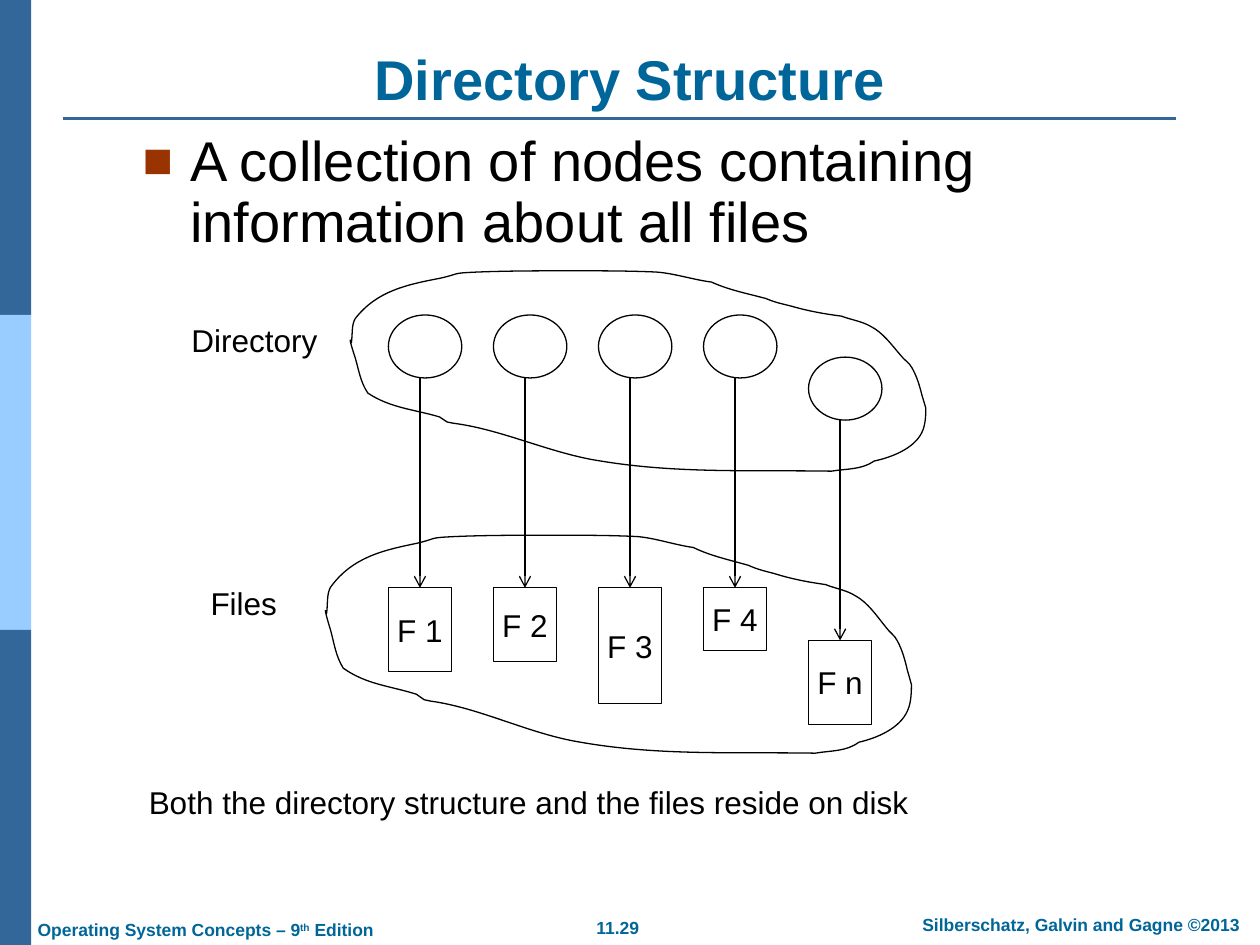
from lxml import etree
from pptx import Presentation
from pptx.dml.color import RGBColor
from pptx.enum.shapes import MSO_CONNECTOR, MSO_SHAPE
from pptx.enum.text import MSO_ANCHOR, MSO_AUTO_SIZE, PP_ALIGN
from pptx.oxml.ns import qn
from pptx.util import Cm, Pt

RECT, OVAL = MSO_SHAPE.RECTANGLE, MSO_SHAPE.OVAL
STRAIGHT = MSO_CONNECTOR.STRAIGHT
LEFT, CENTER = PP_ALIGN.LEFT, PP_ALIGN.CENTER
TOP, MIDDLE, BOTTOM = MSO_ANCHOR.TOP, MSO_ANCHOR.MIDDLE, MSO_ANCHOR.BOTTOM
NO_FIT = MSO_AUTO_SIZE.NONE

BLACK, WHITE, TEAL = "000000", "FFFFFF", "006699"
NAVY, SKY, RUST = "336699", "99CCFF", "993300"
HEADING = {"size": Pt(32), "bold": True, "color": TEAL}
BULLET = {"size": Pt(32), "bold": False, "color": BLACK}
LABEL = {"size": Pt(18), "bold": False, "color": BLACK}
FOOTER = {"size": Pt(10), "bold": True, "color": TEAL}

# Cloud outline on a 458 x 161 grid: a start point, then Bezier curves
# of two control points and an end point.
CLOUD_SIZE = (458, 161)
CLOUD_START = (1, 57)
CLOUD_CURVES = [
    (2, 50, 1, 43, 4, 38), (21, 16, 45, 11, 71, 6), (89, 2, 79, 2, 101, 1),
    (126, 0, 151, 0, 177, 0), (199, 0, 221, 0, 243, 1), (257, 2, 272, 7, 287, 9),
    (300, 15, 315, 18, 330, 22), (337, 25, 342, 26, 350, 28),
    (364, 32, 375, 34, 390, 36), (398, 39, 406, 40, 413, 44),
    (423, 49, 430, 59, 437, 67), (440, 71, 444, 73, 446, 77),
    (450, 84, 452, 91, 454, 99), (455, 102, 457, 109, 457, 109),
    (457, 113, 457, 122, 454, 128), (448, 141, 430, 148, 416, 151),
    (406, 158, 394, 157, 382, 159), (318, 158, 260, 161, 199, 151),
    (159, 145, 121, 126, 82, 121), (80, 121, 79, 120, 77, 120),
    (75, 119, 73, 117, 71, 116), (51, 110, 32, 109, 14, 97),
    (8, 88, 7, 79, 4, 69), (4, 69, 0, 57, 0, 55), (0, 54, 1, 56, 1, 57),
]


def rgb(color):
    return RGBColor.from_string(color)


def place(sp, box):
    for name, value in zip(("left", "top", "width", "height"), box):
        setattr(sp, name, Cm(value))


def add_run(p, text, style):
    r = p.add_run()
    r.text = text
    r.font.name = "Arial"
    r.font.color.rgb = rgb(style["color"])
    for name in ("size", "bold"):
        setattr(r.font, name, style[name])
    return r


def set_text(sp, text, style, align=LEFT, anchor=TOP, wrap=True):
    tf = sp.text_frame
    frame = {"auto_size": NO_FIT, "word_wrap": wrap, "vertical_anchor": anchor}
    for name, value in frame.items():
        setattr(tf, name, value)
    p = tf.paragraphs[0]
    p.alignment = align
    add_run(p, text, style)
    return p


def add_text(s, box, *args, **kwargs):
    sp = s.shapes.add_textbox(*map(Cm, box))
    return set_text(sp, *args, **kwargs)


def add_preset(s, preset, box, fill, line=None):
    sp = s.shapes.add_shape(preset, *map(Cm, box))
    sp.shadow.inherit = False
    sp.fill.solid()
    sp.fill.fore_color.rgb = rgb(fill)
    if line:
        sp.line.color.rgb = rgb(line)
        sp.line.width = Pt(0.75)
    else:
        sp.line.fill.background()
    return sp


def add_line(s, start, end, color, width):
    cxn = s.shapes.add_connector(STRAIGHT, *map(Cm, start + end))
    cxn.line.color.rgb = rgb(color)
    cxn.line.width = Pt(width)
    etree.SubElement(cxn._element.spPr, qn("a:effectLst"))
    return cxn


def add_sidebar(s, box):
    x, y, w, h = box
    for i, color in enumerate((NAVY, SKY, NAVY)):
        add_preset(s, RECT, (x, y + i * h / 3, w, h / 3), color)


def add_heading(s, box):
    x, y, w, h = box
    place(s.shapes.title, box)
    set_text(s.shapes.title, "Directory Structure", HEADING, CENTER, BOTTOM)
    add_line(s, (x, y + h + 0.02), (x + w - 0.43, y + h + 0.02), NAVY, 1.5)


def add_body(s, box):
    body = s.placeholders[1]
    place(body, box)
    p = set_text(body, "A collection of nodes containing information about all files", BULLET)
    p.line_spacing = 0.9
    p.space_before = Pt(0)
    pPr = p._p.get_or_add_pPr()
    pPr.set("marL", str(Cm(0.96)))
    pPr.set("indent", str(-Cm(0.96)))
    color = etree.SubElement(pPr, qn("a:buClr"))
    etree.SubElement(color, qn("a:srgbClr"), val=RUST)
    etree.SubElement(pPr, qn("a:buSzPct"), val="90000")
    etree.SubElement(pPr, qn("a:buFont"), typeface="Arial")
    etree.SubElement(pPr, qn("a:buChar"), char="■")


def add_curve_step(path, tag, coords):
    step = etree.SubElement(path, qn(tag))
    for x, y in zip(coords[::2], coords[1::2]):
        etree.SubElement(step, qn("a:pt"), x=str(x), y=str(y))


def add_cloud(s, box):
    builder = s.shapes.build_freeform(*CLOUD_START)
    builder.add_line_segments([curve[4:] for curve in CLOUD_CURVES])
    sp = builder.convert_to_shape()
    place(sp, box)
    path = next(sp._element.iter(qn("a:path")))
    for step in list(path):
        path.remove(step)
    for name, value in zip("wh", CLOUD_SIZE):
        path.set(name, str(value))
    add_curve_step(path, "a:moveTo", CLOUD_START)
    for curve in CLOUD_CURVES:
        add_curve_step(path, "a:cubicBezTo", curve)
    etree.SubElement(path, qn("a:close"))
    sp.shadow.inherit = False
    sp.fill.background()
    sp.line.color.rgb = rgb(BLACK)
    sp.line.width = Pt(0.75)


def add_entry(s, box, name, file_height):
    """Directory node at the top of the box, with an arrow to its file below."""
    x, y, w, h = box
    node_w, node_h = 1.48, 1.27
    add_preset(s, OVAL, (x, y, node_w, node_h), WHITE, BLACK)
    file = add_preset(s, RECT, (x, y + h, w, file_height), WHITE, BLACK)
    set_text(file, name, LABEL, CENTER, MIDDLE, wrap=False)
    middle = x + w / 2
    arrow = add_line(s, (middle, y + node_h), (middle, y + h), BLACK, 0.75)
    arrow.end_connect(file, 0)
    etree.SubElement(arrow.line._get_or_add_ln(), qn("a:tailEnd"), type="arrow")


def add_diagram(s, box):
    x, y, w, h = box
    entries = [("F 1", 0, 5.5, 1.69), ("F 2", 0, 5.5, 1.48), ("F 3", 0, 5.5, 2.33),
               ("F 4", 0, 5.5, 1.27), ("F n", 0.85, 5.71, 1.69)]
    pitch = 8.47 / (len(entries) - 1)
    for i, (name, drop, depth, file_height) in enumerate(entries):
        add_entry(s, (x + 4.22 + i * pitch, y + 0.89 + drop, 1.27, depth), name, file_height)
    add_cloud(s, (x + 3.45, y, 11.63, 4.09))
    add_cloud(s, (x + 2.95, y + h - 4.45, 11.84, 4.45))
    for text, left, top, width in (("Directory", 0, 0.88, 3.04), ("Files", 0.38, 6.18, 1.85)):
        add_text(s, (x + left, y + top, width, 1.02), text, LABEL, CENTER, MIDDLE, wrap=False)


def add_footer(s, box):
    x, y, w, h = box
    p = add_text(s, (x, y + 0.1, 7.32, h), "Operating System Concepts – 9", FOOTER, wrap=False)
    add_run(p, "th", FOOTER).font._element.set("baseline", "30000")
    add_run(p, " Edition", FOOTER)
    add_text(s, (x + 11.22, y + 0.07, 1.45, h), "11.29", FOOTER, CENTER, wrap=False)
    add_text(s, (x + w - 7.54, y, 7.54, h), "Silberschatz, Galvin and Gagne ©2013", FOOTER, CENTER)


def main():
    prs = Presentation()
    prs.slide_width, prs.slide_height = Cm(25.4), Cm(19.05)
    s = prs.slides.add_slide(prs.slide_layouts[1])
    add_sidebar(s, (0, 0, 0.63, 19.05))
    add_heading(s, (1.27, 0.77, 22.86, 1.6))
    add_body(s, (2.62, 2.56, 20.47, 0.99))
    add_diagram(s, (3.61, 5.46, 15.08, 9.78))
    add_text(s, (2.75, 15.67, 21.11, 1.07),
             "Both the directory structure and the files reside on disk", LABEL)
    add_footer(s, (0.51, 18.3, 25.05, 0.69))
    prs.save("out.pptx")


if __name__ == "__main__":
    main()
